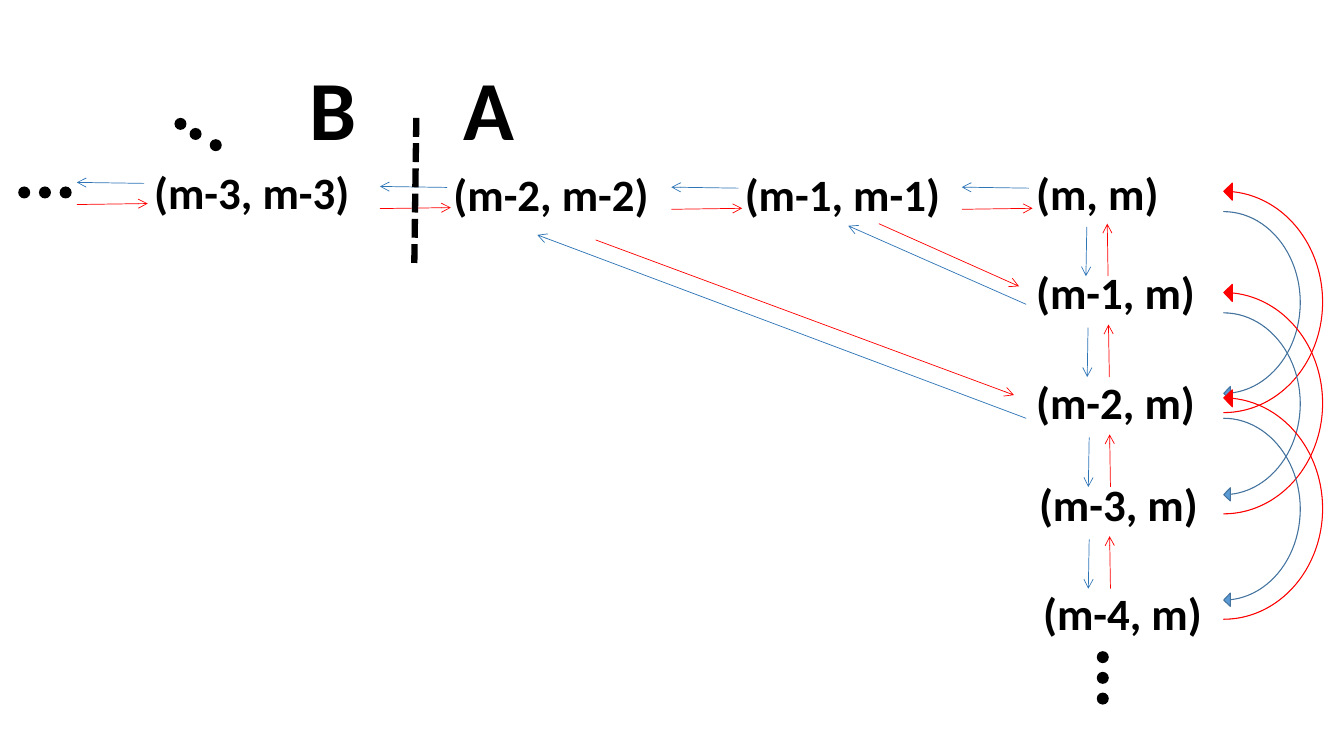
"""Build the slide of the (m, m) state ladder with its transitions."""
from dataclasses import dataclass
from typing import Optional

import pptx
import pptx.dml.color
import pptx.enum.dml
import pptx.enum.shapes
import pptx.enum.text
import pptx.oxml
import pptx.oxml.ns
import pptx.util

Pt = pptx.util.Pt
SHAPE = pptx.enum.shapes.MSO_SHAPE
ALIGN = pptx.enum.text.PP_ALIGN
DASH = pptx.enum.dml.MSO_LINE


@dataclass(frozen=True)
class Theme:
    font: str = "Calibri"
    state_size: float = 32
    region_size: float = 60
    ink: str = "000000"
    blue: str = "2E75B6"
    red: str = "FF0000"
    loop_fill: str = "5B9BD5"
    loop_line: str = "43739E"
    arrow_width: float = 0.5
    divider_width: float = 4.5


@dataclass(frozen=True)
class Label:
    text: str
    x: float
    y: float
    w: float
    h: float = 46.1


@dataclass(frozen=True)
class Line:
    x1: float
    y1: float
    x2: float
    y2: float
    color: str
    target: Optional[str] = None


@dataclass(frozen=True)
class Loop:
    y: float
    w: float
    h: float
    fill: str
    line: str
    upward: bool


THEME = Theme()
LOOP_X = 874.1
DOT = 8.6
DOT_STEP = 14.8

STATES = [
    Label("(m-3, m-3)", 103, 113.8, 176.4),
    Label("(m-2, m-2)", 316.8, 115.2, 161.3),
    Label("(m-1, m-1)", 524.9, 115.2, 162),
    Label("(m, m)", 733, 114.5, 103),
    Label("(m-1, m)", 733, 185.8, 156.2),
    Label("(m-2, m)", 733, 264.2, 156.2),
    Label("(m-3, m)", 735.1, 337, 156.2),
    Label("(m-4, m)", 738, 414.7, 156.2),
]
REGIONS = [Label("A", 321.8, 36.7, 55.4, 79.9), Label("B", 209.5, 36.7, 56.9, 79.9)]
ROW_PAIRS = [(54.9, 130.3), (271.4, 133.2), (479.5, 133.7), (687, 133.7)]
COLUMN_PAIRS = [(776.3, 162), (777.2, 234), (778, 312.5), (778, 385.2)]
DIAGONALS = [
    Line(733, 298.8, 383.8, 167.8, THEME.blue),
    Line(425.5, 171.4, 724.3, 282.2, THEME.red),
    Line(733, 217.4, 605.9, 161.3, THEME.blue, "(m-1, m-1)"),
    Line(627.8, 159.8, 727.9, 204.5, THEME.red),
]
LOOP_TOPS = [151.2, 223.5, 298.8]
DOTS = (
    [(783.4, 465.1 + DOT_STEP * i) for i in range(3)]
    + [(13 + DOT_STEP * i, 133.2) for i in range(3)]
    + [(124.6, 84.2), (135.4, 91.4), (149.8, 99.4)]
)


def rgb(color: str) -> pptx.dml.color.RGBColor:
    """Turn a hex string into a colour."""
    return pptx.dml.color.RGBColor.from_string(color)


def add_text(slide, label: Label, *, size: float, align=ALIGN.LEFT, wrap: bool = True):
    """Add a bold label and return its box."""
    s = slide.shapes.add_textbox(Pt(label.x), Pt(label.y), Pt(label.w), Pt(label.h))
    tf = s.text_frame
    tf.word_wrap = wrap
    tf.auto_size = pptx.enum.text.MSO_AUTO_SIZE.SHAPE_TO_FIT_TEXT
    p = tf.paragraphs[0]
    p.alignment = align
    r = p.add_run()
    r.text = label.text
    r.font.name = THEME.font
    r.font.size = Pt(size)
    r.font.bold = True
    r.font.color.rgb = rgb(THEME.ink)
    return s


def add_line(slide, line: Line, *, width: float, head: bool = True, dash=None):
    """Add a straight line, with an open arrowhead at its end if asked."""
    s = slide.shapes.add_connector(
        pptx.enum.shapes.MSO_CONNECTOR.STRAIGHT,
        Pt(line.x1), Pt(line.y1), Pt(line.x2), Pt(line.y2),
    )
    s.line.color.rgb = rgb(line.color)
    s.line.width = Pt(width)
    if dash is not None:
        s.line.dash_style = dash
    if head:
        tail = pptx.oxml.parse_xml(
            f'<a:tailEnd {pptx.oxml.ns.nsdecls("a")} type="arrow"/>'
        )
        s.line._get_or_add_ln().append(tail)
    s._element.spPr.append(
        pptx.oxml.parse_xml(f'<a:effectLst {pptx.oxml.ns.nsdecls("a")}/>')
    )
    return s


def add_loop(slide, loop: Loop) -> None:
    """Add a thin curved arrow that skips one state."""
    s = slide.shapes.add_shape(
        SHAPE.CURVED_LEFT_ARROW, Pt(LOOP_X), Pt(loop.y), Pt(loop.w), Pt(loop.h)
    )
    for i, value in enumerate((0, 0.173, 0.087)):
        s.adjustments[i] = value
    s.shadow.inherit = False
    s.fill.solid()
    s.fill.fore_color.rgb = rgb(loop.fill)
    s.line.color.rgb = rgb(loop.line)
    s.line.width = Pt(0)
    if loop.upward:
        s.rotation = 180
        s._element.spPr.xfrm.set("flipH", "1")


def add_dot(slide, x: float, y: float) -> None:
    """Add one dot of an ellipsis."""
    s = slide.shapes.add_shape(SHAPE.OVAL, Pt(x), Pt(y), Pt(DOT), Pt(DOT))
    s.shadow.inherit = False
    s.fill.solid()
    s.fill.fore_color.rgb = rgb(THEME.ink)
    s.line.fill.background()


def main() -> None:
    """Draw the states, transitions and regions, then save."""
    prs = pptx.Presentation()
    prs.slide_width, prs.slide_height = Pt(960), Pt(540)
    slide = prs.slides.add_slide(prs.slide_layouts[6])

    boxes = {
        label.text: add_text(slide, label, size=THEME.state_size) for label in STATES
    }
    arrows = list(DIAGONALS)
    for x, y in ROW_PAIRS:
        arrows.append(Line(x + 48, y + 0.7, x, y, THEME.blue))
        arrows.append(Line(x, y + 15.8, x + 50.6, y + 15.1, THEME.red))
    for x, y in COLUMN_PAIRS:
        arrows.append(Line(x, y, x - 0.6, y + 35.3, THEME.blue))
        arrows.append(Line(x + 15.2, y + 35.3, x + 14.6, y - 2.2, THEME.red))
    for arrow in arrows:
        s = add_line(slide, arrow, width=THEME.arrow_width)
        if arrow.target:
            s.end_connect(boxes[arrow.target], 2)
    for y in LOOP_TOPS:
        add_loop(slide, Loop(y, 54.7, 134.6, THEME.loop_fill, THEME.loop_line, False))
        add_loop(slide, Loop(y - 20.7, 70.6, 164.2, THEME.red, THEME.red, True))
    for x, y in DOTS:
        add_dot(slide, x, y)
    divider = Line(297.4, 84.2, 295.9, 191.5, THEME.ink)
    add_line(
        slide, divider, width=THEME.divider_width, head=False, dash=DASH.SQUARE_DOT
    )
    for label in REGIONS:
        add_text(slide, label, size=THEME.region_size, align=ALIGN.CENTER, wrap=False)
    prs.save("out.pptx")


if __name__ == "__main__":
    main()
